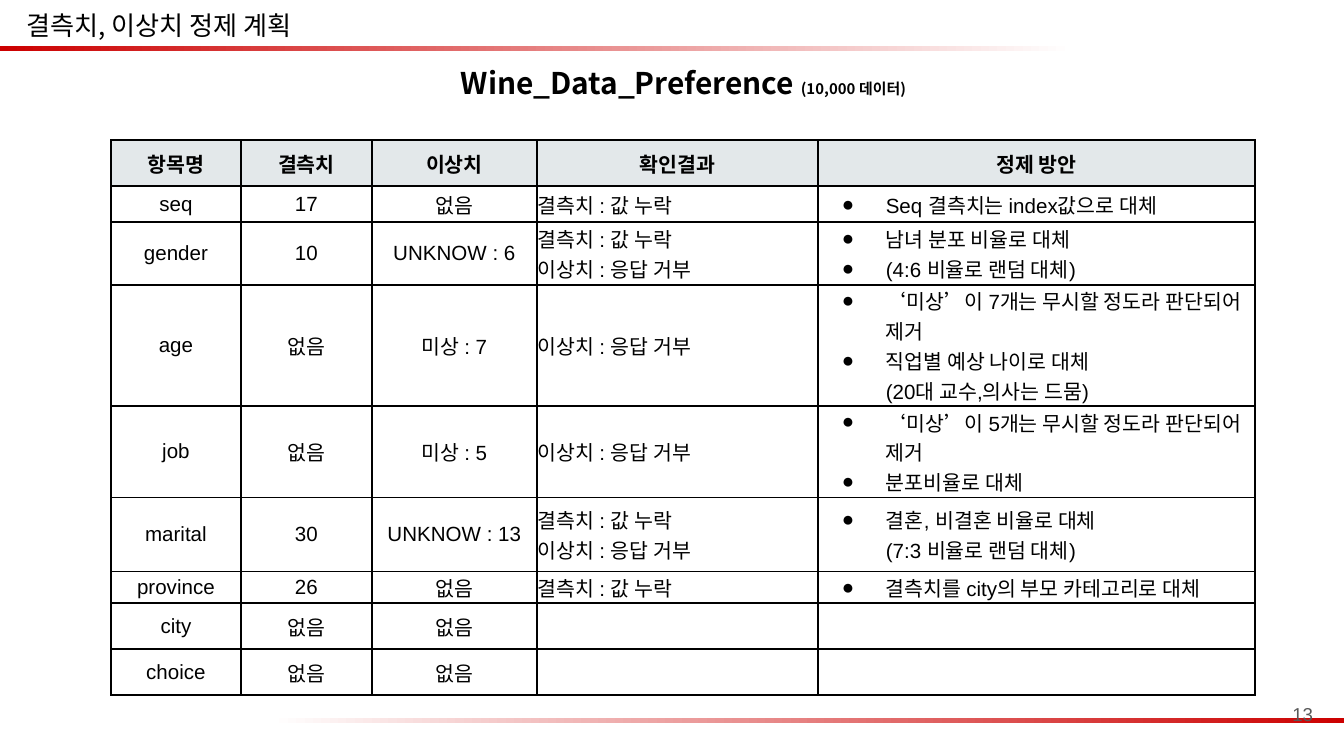
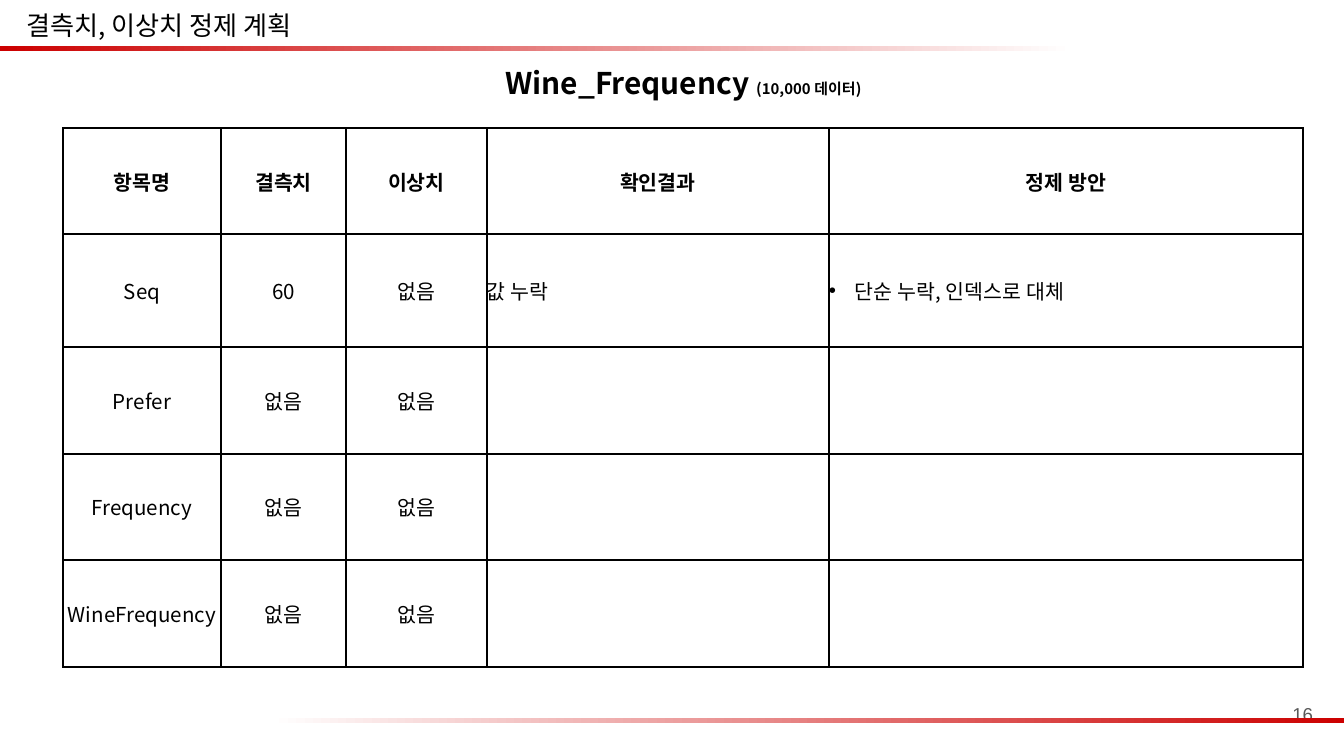
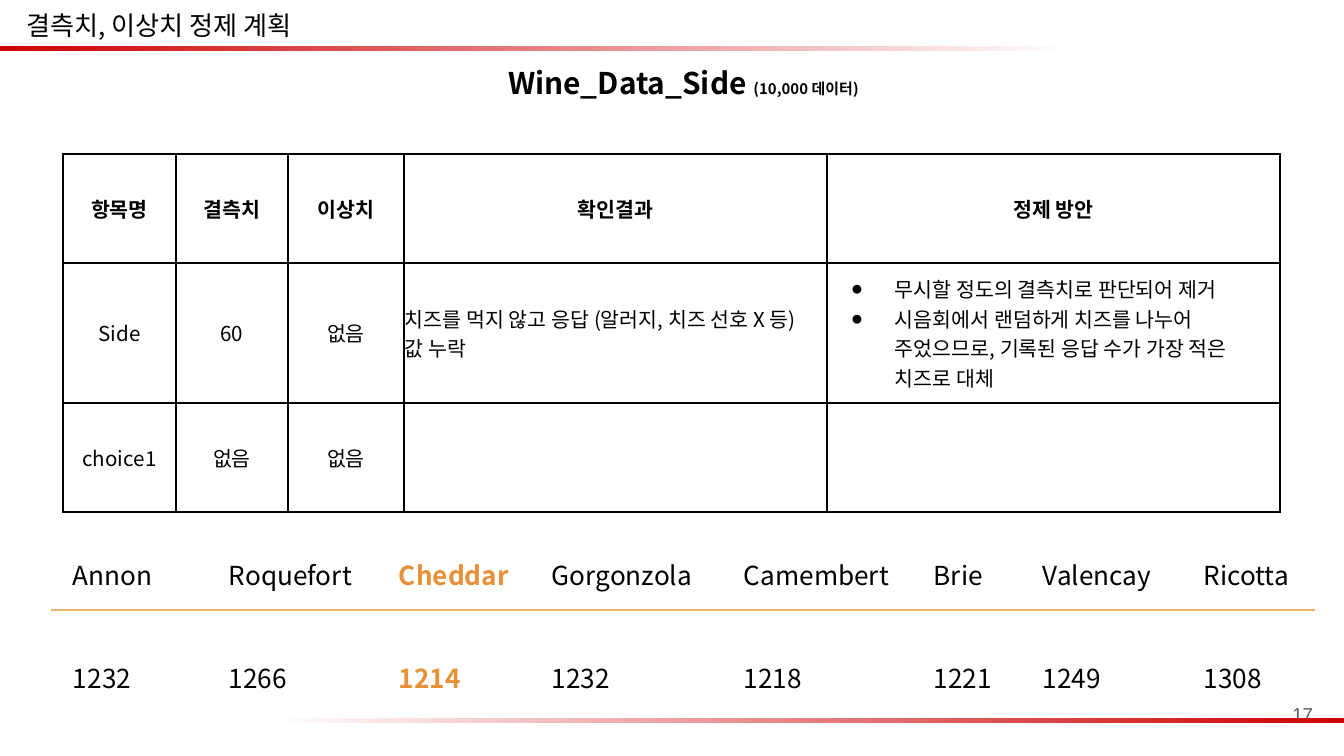
"""Build three slides on the plan for cleaning missing values and outliers."""
from lxml import etree
from pptx import Presentation
from pptx.dml.color import RGBColor
from pptx.enum.shapes import MSO_CONNECTOR, MSO_SHAPE
from pptx.enum.text import MSO_ANCHOR, PP_ALIGN
from pptx.oxml.ns import qn
from pptx.util import Emu, Pt

LEFT, CENTER, RIGHT = PP_ALIGN.LEFT, PP_ALIGN.CENTER, PP_ALIGN.RIGHT
TOP, MIDDLE = MSO_ANCHOR.TOP, MSO_ANCHOR.MIDDLE
RECT, STRAIGHT = MSO_SHAPE.RECTANGLE, MSO_CONNECTOR.STRAIGHT

BLACK = RGBColor(0x00, 0x00, 0x00)
WHITE = RGBColor(0xFF, 0xFF, 0xFF)
RED = RGBColor(0xCC, 0x00, 0x00)
GRAY = RGBColor(0x59, 0x59, 0x59)
HEADER = RGBColor(0xE3, 0xE8, 0xEA)
ORANGE = RGBColor(0xE6, 0x91, 0x38)
RULE = RGBColor(0xF6, 0xB2, 0x6B)

NOTO, ARIAL = "Noto Sans CJK KR", "Arial"
NO_STYLE = "{2D5ABB26-0587-4C30-8999-92F81FD0307C}"
INSET = 13

TITLE_FMT = dict(name=NOTO, size=Pt(14), bold=False, color=BLACK)
HEAD_FMT = dict(name=NOTO, size=Pt(16), bold=True, color=BLACK)
COUNT_FMT = {**HEAD_FMT, "size": Pt(8)}
NUMBER_FMT = dict(name=ARIAL, size=Pt(10), bold=False, color=GRAY)
CELL_FMT = dict(size=Pt(11), color=BLACK)

TITLE = "결측치, 이상치 정제 계획"
COUNT = "(10,000 데이터)"
COLUMNS = ("항목명", "결측치", "이상치", "확인결과", "정제 방안")
NONE, MISSING, REFUSED = "없음", "결측치 : 값 누락", "이상치 : 응답 거부"
WIDE_BULLET, SMALL_BULLET = ("●", 67, -44), ("•", 26, -27)

SLIDES = [
    dict(
        number=13, heading="Wine_Data_Preference ", bands_behind=True,
        font=ARIAL, header=HEADER, inset=1, bullet=WIDE_BULLET, at=(111, 140),
        cols=(130, 131, 165, 281, 437),
        heights=(46, 36, 63, 93, 66, 74, 30, 46, 46),
        rows=[
            ("seq", "17", NONE, [MISSING], ["Seq 결측치는 index값으로 대체"]),
            ("gender", "10", "UNKNOW : 6", [MISSING, REFUSED],
             ["남녀 분포 비율로 대체", "(4:6 비율로 랜덤 대체)"]),
            ("age", NONE, "미상 : 7", [REFUSED],
             ["‘미상’이 7개는 무시할 정도라 판단되어 제거",
              "직업별 예상 나이로 대체\n(20대 교수,의사는 드뭄)"]),
            ("job", NONE, "미상 : 5", [REFUSED],
             ["‘미상’이 5개는 무시할 정도라 판단되어 제거", "분포비율로 대체"]),
            ("marital", "30", "UNKNOW : 13", [MISSING, REFUSED],
             ["결혼, 비결혼 비율로 대체\n(7:3 비율로 랜덤 대체)"]),
            ("province", "26", NONE, [MISSING],
             ["결측치를 city의 부모 카테고리로 대체"]),
            ("city", NONE, NONE, [], []),
            ("choice", NONE, NONE, [], []),
        ]),
    dict(
        number=16, heading="Wine_Frequency ", bands_behind=False,
        font=NOTO, header=None, inset=0, bullet=SMALL_BULLET, at=(63, 128),
        cols=(158, 125, 141, 342, 474),
        heights=(106, 113, 107, 106, 107),
        rows=[
            ("Seq", "60", NONE, ["값 누락"], ["단순 누락, 인덱스로 대체"]),
            ("Prefer", NONE, NONE, [], []),
            ("Frequency", NONE, NONE, [], []),
            ("WineFrequency", NONE, NONE, [], []),
        ]),
    dict(
        number=17, heading="Wine_Data_Side ", bands_behind=False,
        font=NOTO, header=None, inset=1, bullet=WIDE_BULLET, at=(63, 154),
        cols=(113, 112, 116, 423, 453),
        heights=(109, 140, 109),
        rows=[
            ("Side", "60", NONE,
             ["치즈를 먹지 않고 응답 (알러지, 치즈 선호 X 등)", "값 누락"],
             ["무시할 정도의 결측치로 판단되어 제거",
              "시음회에서 랜덤하게 치즈를 나누어 주었으므로, "
              "기록된 응답 수가 가장 적은 치즈로 대체"]),
            ("choice1", NONE, NONE, [], []),
        ]),
]

CHEESES = [("Annon", 1232, 156), ("Roquefort", 1266, 170),
           ("Cheddar", 1214, 153), ("Gorgonzola", 1232, 192),
           ("Camembert", 1218, 190), ("Brie", 1221, 109),
           ("Valencay", 1249, 161), ("Ricotta", 1308, 113)]


def px(n):
    return Emu(round(n * 914400 / 134.4))


def add_run(p, text, fmt):
    for i, line in enumerate(text.split("\n")):
        if i:
            p.add_line_break()
            br = p._p.findall(qn("a:br"))[-1]
            etree.SubElement(br, qn("a:rPr"), sz=str(int(fmt["size"].pt * 100)))
        r = p.add_run()
        r.text = line
        for key in ("name", "size", "bold"):
            setattr(r.font, key, fmt[key])
        r.font.color.rgb = fmt["color"]
        etree.SubElement(r._r.get_or_add_rPr(), qn("a:ea"), typeface=NOTO)


def set_bullet(p, char, margin, indent):
    pPr = p._p.get_or_add_pPr()
    pPr.set("marL", str(px(margin)))
    pPr.set("indent", str(px(indent)))
    color = etree.SubElement(pPr, qn("a:buClr"))
    etree.SubElement(color, qn("a:srgbClr"), val=str(BLACK))
    etree.SubElement(pPr, qn("a:buFont"), typeface=ARIAL)
    etree.SubElement(pPr, qn("a:buChar"), char=char)


def fill_box(sp, box, runs, align, anchor=TOP):
    sp.left, sp.top, sp.width, sp.height = map(px, box)
    tf = sp.text_frame
    margins = dict.fromkeys(("margin_left", "margin_top", "margin_right",
                             "margin_bottom"), px(INSET))
    for key, value in dict(margins, word_wrap=True, vertical_anchor=anchor).items():
        setattr(tf, key, value)
    p = tf.paragraphs[0]
    p.alignment = align
    for text, fmt in runs:
        add_run(p, text, fmt)


def add_text(s, *args):
    fill_box(s.shapes.add_textbox(0, 0, 0, 0), *args)


def add_bands(s):
    for x, y, flip in ((271, 718, True), (0, 46, False)):
        sp = s.shapes.add_shape(RECT, px(x), px(y), px(1073), px(5))
        sp.shadow.inherit = False
        sp.line.fill.background()
        sp.fill.gradient()
        sp.fill.gradient_angle = 0
        for stop, color in zip(sp.fill.gradient_stops, (RED, WHITE)):
            stop.color.rgb = color
        if flip:
            sp._element.spPr.find(qn("a:xfrm")).set("flipH", "1")


def add_grid(s, at, cols, heights):
    frame = s.shapes.add_table(len(heights), len(cols), *map(
        px, (*at, sum(cols), sum(heights))))
    tbl = frame.table
    tbl.first_row = tbl.horz_banding = False
    tbl._tbl.tblPr.find(qn("a:tableStyleId")).text = NO_STYLE
    for col, width in zip(tbl.columns, cols):
        col.width = px(width)
    for row, height in zip(tbl.rows, heights):
        row.height = px(height)
    return tbl


def format_cell(cell, inset, anchor, fill=None, border=False):
    for side in ("left", "top", "right", "bottom"):
        setattr(cell, "margin_" + side, px(inset))
    cell.vertical_anchor = anchor
    if border:
        for tag in ("a:lnL", "a:lnR", "a:lnT", "a:lnB"):
            ln = etree.SubElement(cell._tc.get_or_add_tcPr(), qn(tag), w=str(Pt(1)))
            solid = etree.SubElement(ln, qn("a:solidFill"))
            etree.SubElement(solid, qn("a:srgbClr"), val=str(BLACK))
    if fill is None:
        cell.fill.background()
    else:
        cell.fill.solid()
        cell.fill.fore_color.rgb = fill


def add_plan(s, plan):
    tbl = add_grid(s, plan["at"], plan["cols"], plan["heights"])
    for i, row in enumerate([COLUMNS, *plan["rows"]]):
        fmt = dict(CELL_FMT, name=plan["font"], bold=i == 0)
        for j, content in enumerate(row):
            cell = tbl.cell(i, j)
            format_cell(cell, plan["inset"], MIDDLE,
                        plan["header"] if i == 0 else None, True)
            lines = [content] if isinstance(content, str) else content
            tf = cell.text_frame
            for n, line in enumerate(lines):
                p = tf.add_paragraph() if n else tf.paragraphs[0]
                p.alignment = CENTER if i == 0 or j < 3 else LEFT
                if i and j == 4:
                    set_bullet(p, *plan["bullet"])
                add_run(p, line, fmt)


def add_cheeses(s):
    names, counts, widths = zip(*CHEESES)
    tbl = add_grid(s, (60, 542), widths, (103, 65))
    for i, row in enumerate((names, counts)):
        for j, value in enumerate(row):
            cell = tbl.cell(i, j)
            format_cell(cell, INSET, TOP)
            least = counts[j] == min(counts)
            fmt = dict(TITLE_FMT, bold=least, color=ORANGE if least else BLACK)
            add_run(cell.text_frame.paragraphs[0], str(value), fmt)
    line = s.shapes.add_connector(STRAIGHT, px(51), px(610), px(1315), px(610))
    line.line.color.rgb = RULE
    line.line.width = Pt(0.75)
    etree.SubElement(line._element.spPr, qn("a:effectLst"))


def add_slide(prs, plan):
    s = prs.slides.add_slide(prs.slide_layouts[5])
    fill_box(s.shapes.title, (13, -4, 628, 73), [(TITLE, TITLE_FMT)], LEFT)
    if plan["bands_behind"]:
        add_bands(s)
    add_plan(s, plan)
    add_text(s, (1246, 685, 80, 58), [(str(plan["number"]), NUMBER_FMT)],
             RIGHT, MIDDLE)
    if not plan["bands_behind"]:
        add_bands(s)
    add_text(s, (129, 52, 1109, 58),
             [(plan["heading"], HEAD_FMT), (COUNT, COUNT_FMT)], CENTER)
    return s


def main():
    prs = Presentation()
    prs.slide_width, prs.slide_height = px(1344), px(756)
    for plan in SLIDES:
        s = add_slide(prs, plan)
    add_cheeses(s)
    prs.save("out.pptx")


if __name__ == "__main__":
    main()
